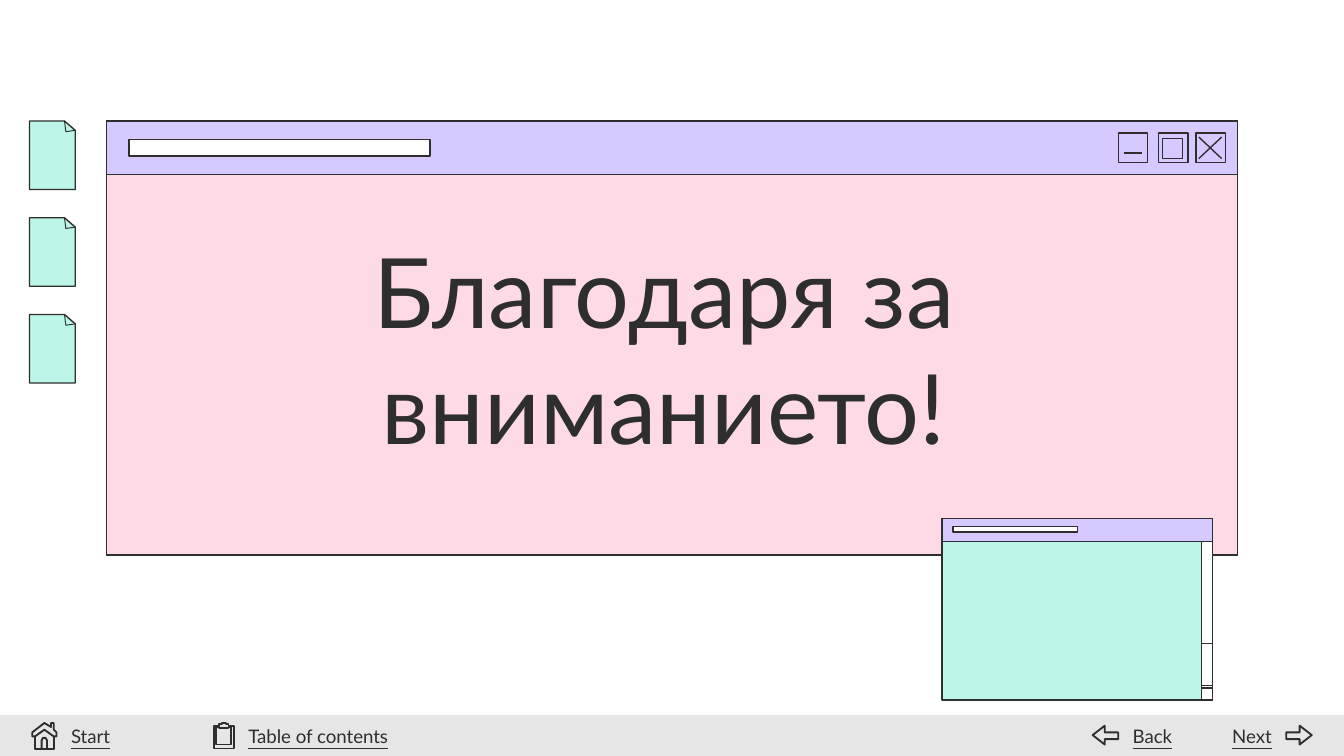
from pptx import Presentation
from pptx.util import Inches, Pt
from pptx.dml.color import RGBColor
from pptx.enum.shapes import MSO_SHAPE, MSO_CONNECTOR
from pptx.enum.text import PP_ALIGN as AL, MSO_ANCHOR as ANCHOR
from lxml import etree

C = {"ink": "2E2E2E", "pink": "FEDAE6", "lilac": "D6C9FF",
     "mint": "BBF6E9", "white": "FFFFFF", "bar": "E6E6E6"}
FONT = "Lato"
A = "{http://schemas.openxmlformats.org/drawingml/2006/main}"

# Content: (left, top, width, height, fill) for the parts of each window
TITLE = "Благодаря за вниманието!"
MAIN_WINDOW = [(0.79, 0.9, 8.42, 3.23, "pink"), (0.79, 0.9, 8.42, 0.4, "lilac"),
               (0.96, 1.04, 2.24, 0.12, "white")]
SMALL_WINDOW = [(7.01, 3.86, 2.01, 1.35, "mint"), (8.94, 3.86, 0.08, 1.35, "white"),
                (7.01, 3.86, 2.01, 0.17, "lilac"), (8.94, 4.81, 0.08, 0.31, "white"),
                (8.94, 4.79, 0.08, 0.31, "white"), (7.09, 3.92, 0.93, 0.04, "white")]
NAV = [("Start", 0.43, 0.78, AL.LEFT), ("Table of contents", 1.75, 1.54, AL.LEFT),
       ("Back", 8.33, 0.54, AL.LEFT), ("Next", 9.02, 0.54, AL.RIGHT)]

# Outlines, relative to the top left corner of each icon
PAGE = [(0, 0), (0, 0.51), (0.34, 0.51), (0.34, 0.07), (0.26, 0)]
FOLD = [(0.26, 0), (0.27, 0.08), (0.34, 0.07)]
ARROW = [(0.01, 0.06), (0.11, 0.06), (0.11, 0.01), (0.2, 0.08),
         (0.11, 0.15), (0.11, 0.11), (0.01, 0.11)]
ROOF = [(0.1, 0.01), (0.01, 0.08), (0.01, 0.11), (0.03, 0.11), (0.1, 0.06),
        (0.17, 0.11), (0.19, 0.11), (0.19, 0.08), (0.17, 0.06), (0.17, 0.01),
        (0.15, 0.01), (0.15, 0.04)]
WALLS = [(0.03, 0.11), (0.03, 0.2), (0.17, 0.2), (0.17, 0.11)]
DOOR = [(0.08, 0.2), (0.08, 0.14), (0.09, 0.12), (0.11, 0.12), (0.12, 0.14), (0.12, 0.2)]
BOARD = [(0.01, 0.03), (0.16, 0.03), (0.16, 0.2), (0.01, 0.2)]
SHEET = [(0.03, 0.04), (0.14, 0.04), (0.14, 0.17), (0.03, 0.17)]
CLIP = [(0.05, 0.02), (0.07, 0.02), (0.07, 0.01), (0.1, 0.01), (0.1, 0.02),
        (0.12, 0.02), (0.12, 0.05), (0.05, 0.05)]

prs = Presentation()
prs.slide_width, prs.slide_height = Inches(10), Inches(10) * 9 // 16
s = prs.slides.add_slide(prs.slide_layouts[6])


def paint(sp, fill=None, line="ink", width=0.75):
    sp.shadow.inherit = False
    if fill:
        sp.fill.solid()
        sp.fill.fore_color.rgb = RGBColor.from_string(C[fill])
    else:
        sp.fill.background()
    if line:
        sp.line.color.rgb = RGBColor.from_string(C[line])
        sp.line.width = Pt(width)
    else:
        sp.line.fill.background()


def rect(x, y, w, h, fill=None, **kw):
    sp = s.shapes.add_shape(MSO_SHAPE.RECTANGLE, *map(Inches, (x, y, w, h)))
    paint(sp, fill, **kw)


def outline(x, y, points, fill=None, close=True, width=0.75):
    pts = [(Inches(x + dx), Inches(y + dy)) for dx, dy in points]
    fb = s.shapes.build_freeform(*pts[0], scale=1.0)
    fb.add_line_segments(pts[1:], close=close)
    paint(fb.convert_to_shape(), fill, width=width)


def line(x1, y1, x2, y2):
    cn = s.shapes.add_connector(MSO_CONNECTOR.STRAIGHT, *map(Inches, (x1, y1, x2, y2)))
    cn.line.color.rgb = RGBColor.from_string(C["ink"])
    cn.line.width = Pt(0.75)
    etree.SubElement(cn._element.spPr, A + "effectLst")


def text(words, x, y, w, h, size=10, align=AL.LEFT, anchor=ANCHOR.MIDDLE, underline=None):
    tf = s.shapes.add_textbox(*map(Inches, (x, y, w, h))).text_frame
    tf.word_wrap = True
    tf.vertical_anchor = anchor
    tf.margin_left = tf.margin_right = tf.margin_top = tf.margin_bottom = Inches(0.1)
    p = tf.paragraphs[0]
    p.alignment = align
    r = p.add_run()
    r.text = words
    r.font.name, r.font.size, r.font.underline = FONT, Pt(size), underline
    r.font.color.rgb = RGBColor.from_string(C["ink"])


# Main window with its minimise, maximise and close buttons
for part in MAIN_WINDOW:
    rect(*part)
for x in (8.32, 8.62, 8.9):
    rect(x, 0.99, 0.22, 0.22)
line(8.36, 1.14, 8.5, 1.14)
rect(8.65, 1.03, 0.15, 0.15)
line(8.92, 1.02, 9.09, 1.18)
line(8.92, 1.18, 9.09, 1.02)

# Column of page icons
for row in range(3):
    y = 0.9 + 0.72 * row
    outline(0.22, y, PAGE, "mint")
    outline(0.22, y, FOLD, close=False, width=0.5)

# Navigation bar, title and small window
rect(0, 5.32, 10, 0.31, "bar", line=None)
text(TITLE, 0.69, 1.62, 8.5, 1.68, size=52, align=AL.CENTER, anchor=ANCHOR.TOP)
for part in SMALL_WINDOW:
    rect(*part)

# Navigation links
for label, x, w, align in NAV:
    text(label, x, 5.3, w, 0.35, align=align, underline=True)

# Navigation icons: home, clipboard, back and next arrows
outline(0.23, 5.37, WALLS, close=False, width=1)
outline(0.23, 5.37, ROOF, width=1)
outline(0.23, 5.37, DOOR, close=False, width=1)
for points in (BOARD, SHEET):
    outline(1.58, 5.37, points, width=1)
outline(1.58, 5.37, CLIP, "bar", width=1)
outline(8.13, 5.39, [(0.2 - dx, dy) for dx, dy in ARROW], width=1)
outline(9.56, 5.39, ARROW, width=1)

prs.save("out.pptx")
